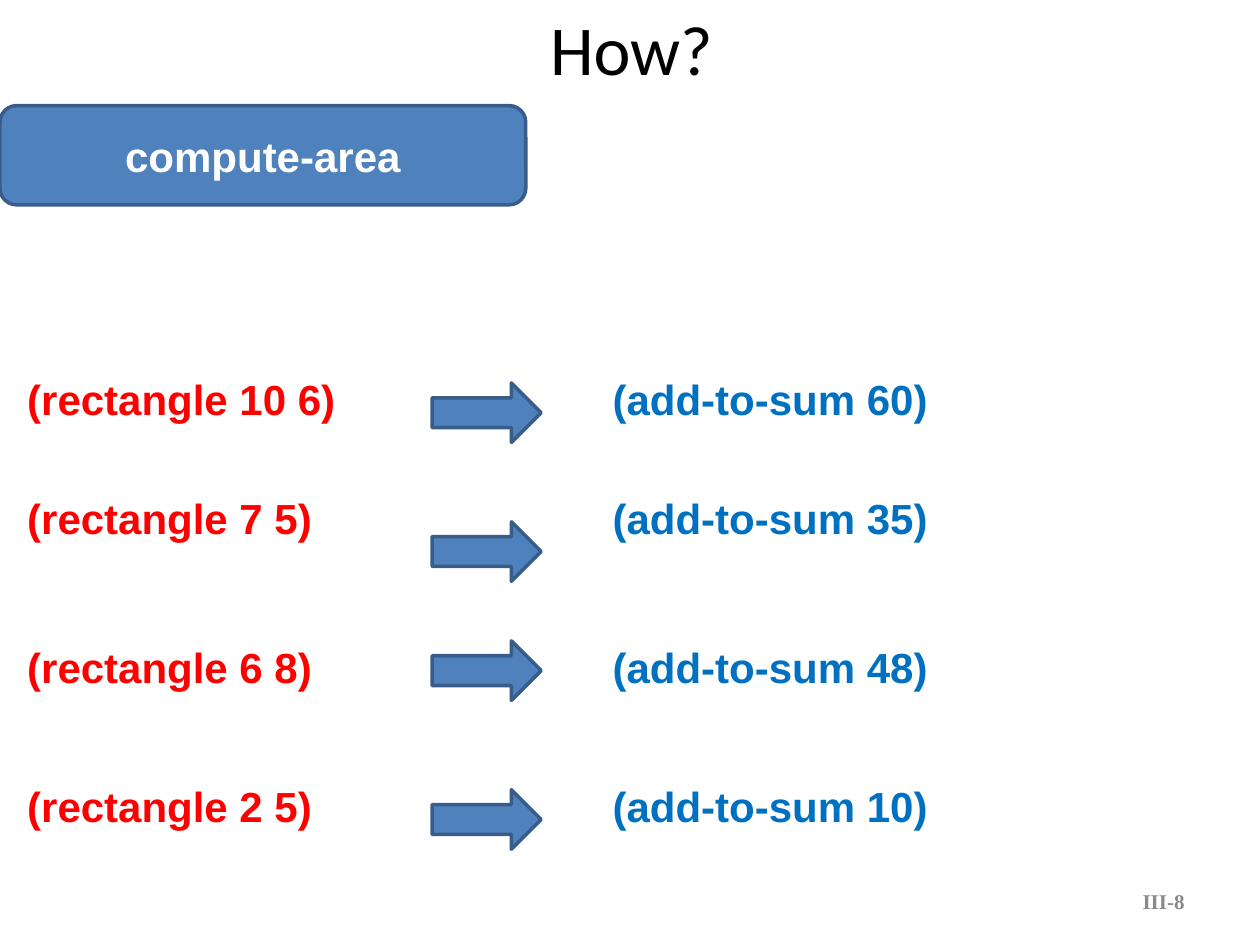
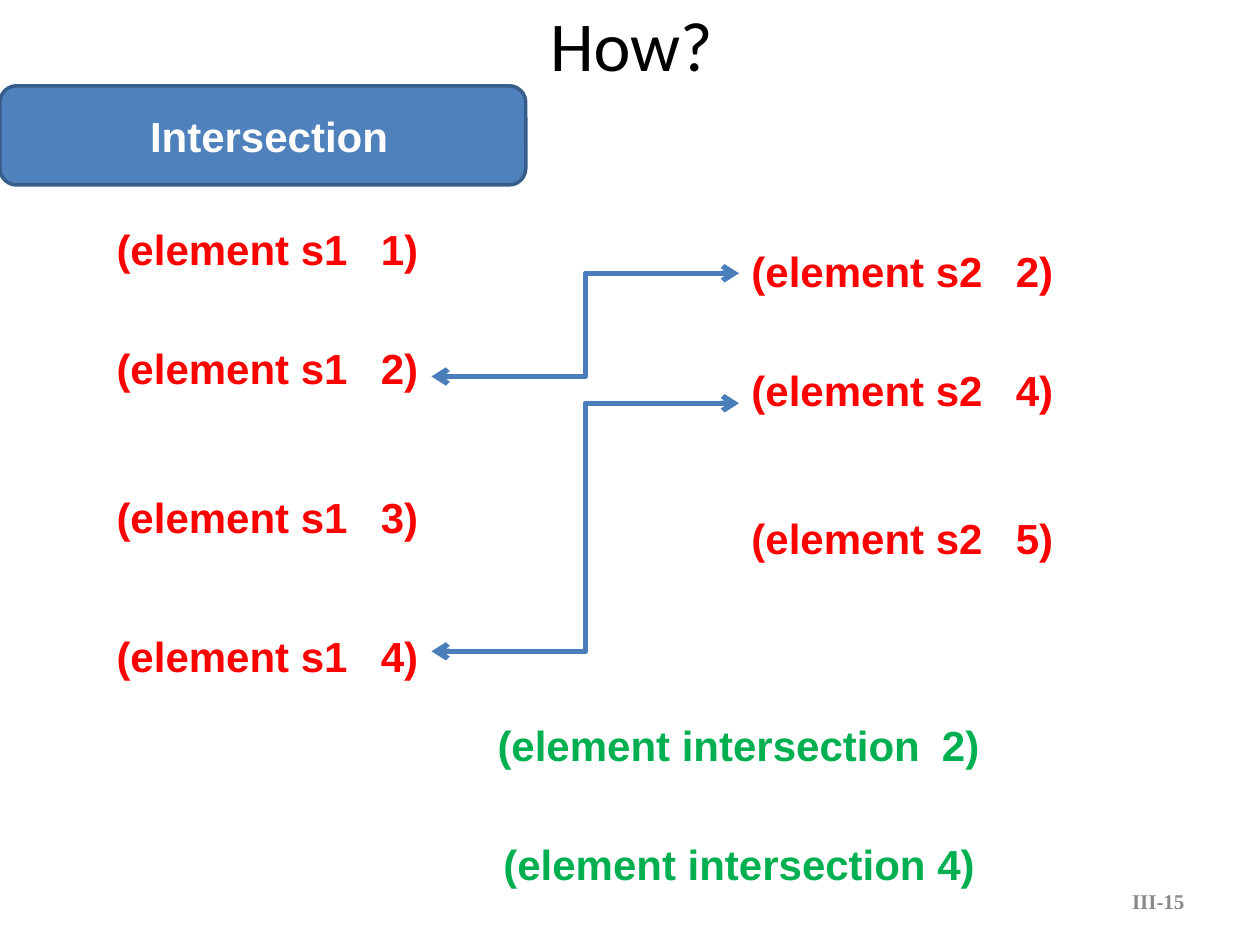
import pptx
import pptx.dml.color
import pptx.enum.shapes
import pptx.enum.text
import pptx.oxml.ns
import pptx.oxml.xmlchemy
import pptx.util

Cm, Pt = pptx.util.Cm, pptx.util.Pt
SHAPE = pptx.enum.shapes.MSO_SHAPE
ALIGN = pptx.enum.text.PP_ALIGN

COLORS = {
    "title": "000000", "footer": "898989", "white": "FFFFFF",
    "fill": "4F81BD", "outline": "385D8A", "link": "4A7EBB",
    "input": "FF0000", "output": "0070C0", "result": "00B050",
}
ROW_STEPS = (0, 2.4, 5.4, 8.2)  # cm below the first row of a fact column
FACT_HEIGHT = 1.8


def rgb(name):
    return pptx.dml.color.RGBColor.from_string(COLORS[name])


def add_element(parent, tag, **attributes):
    """Append a new XML element to parent and return it."""
    element = pptx.oxml.xmlchemy.OxmlElement(tag)
    for key, value in attributes.items():
        element.set(key, str(value))
    parent.append(element)
    return element


def write(shape, text, size=24, font="Arial", color="white", bold=True,
          align=ALIGN.LEFT, inset=0.25, tab=None):
    """Fill a shape with one formatted line; tab is a stop in cm."""
    tf = shape.text_frame
    tf.word_wrap = True
    tf.vertical_anchor = pptx.enum.text.MSO_ANCHOR.MIDDLE
    tf.margin_left = Cm(inset)
    p = tf.paragraphs[0]
    p.alignment = align
    if tab:
        tabs = add_element(p._p.get_or_add_pPr(), "a:tabLst")
        add_element(tabs, "a:tab", pos=int(Cm(tab)), algn="l")
    r = p.add_run()
    r.text = text
    r.font.size = Pt(size)
    r.font.name = font
    r.font.bold = bold
    r.font.color.rgb = rgb(color)


class Deck:
    def __init__(self):
        self.prs = pptx.Presentation()
        self.prs.slide_width, self.prs.slide_height = Cm(25.4), Cm(19.05)
        self.s = None

    def slide(self, title, title_height, banner, banner_top, number,
              banner_inset=0.25):
        """Start a slide with its title, banner and page number."""
        self.s = self.prs.slides.add_slide(self.prs.slide_layouts[5])
        sp = self.s.shapes.title
        sp.left, sp.top = Cm(1.3), Cm(0)
        sp.width, sp.height = Cm(22.86), Cm(title_height)
        write(sp, title, size=40, font="Calibri", color="title", bold=False,
              align=ALIGN.CENTER)
        self.text(number, 18.21, 17.65, 5.92, 1.02, size=12,
                  font="Times New Roman", color="footer", align=ALIGN.RIGHT)
        sp = self.shape(SHAPE.ROUNDED_RECTANGLE, 0, banner_top, 10.6, 2)
        write(sp, banner, align=ALIGN.CENTER, inset=banner_inset)

    def text(self, text, x, y, w, h, **fmt):
        sp = self.s.shapes.add_textbox(Cm(x), Cm(y), Cm(w), Cm(h))
        write(sp, text, **fmt)

    def facts(self, lines, x, y, w=7.8, **fmt):
        """Place lines on the shared row rhythm."""
        for line, step in zip(lines, ROW_STEPS):
            self.text(line, x, y + step, w, FACT_HEIGHT, **fmt)

    def shape(self, kind, x, y, w, h):
        sp = self.s.shapes.add_shape(kind, Cm(x), Cm(y), Cm(w), Cm(h))
        sp.shadow.inherit = False
        sp.fill.solid()
        sp.fill.fore_color.rgb = rgb("fill")
        sp.line.color.rgb = rgb("outline")
        sp.line.width = Pt(2)
        return sp

    def match(self, x1, y1, x2, y2):
        """Draw an elbow connector with an arrowhead at each end."""
        cxn = self.s.shapes.add_connector(
            pptx.enum.shapes.MSO_CONNECTOR.ELBOW, Cm(x1), Cm(y1), Cm(x2), Cm(y2))
        cxn.line.color.rgb = rgb("link")
        cxn.line.width = Pt(3)
        sp_pr = cxn._element.find(pptx.oxml.ns.qn("p:spPr"))
        ln = sp_pr.find(pptx.oxml.ns.qn("a:ln"))
        for end in ("a:headEnd", "a:tailEnd"):
            add_element(ln, end, type="arrow")
        add_element(sp_pr, "a:effectLst")


def main():
    deck = Deck()

    # Areas computed from rectangles
    deck.slide("How?", 1.93, "compute-area", 2.13, "III-8")
    sizes = ((10, 6), (7, 5), (6, 8), (2, 5))
    deck.facts([f"(rectangle {a} {b})" for a, b in sizes], 0.3, 7.14,
               color="input")
    deck.facts([f"(add-to-sum {a * b})" for a, b in sizes], 12.1, 7.14,
               color="output")
    for y in (7.72, 10.52, 12.92, 15.92):
        deck.shape(SHAPE.RIGHT_ARROW, 8.71, y, 2.2, 1.2)

    # Intersection of two sets
    deck.slide("How?", 1.75, "Intersection", 1.73, "III-15", banner_inset=0.5)
    for name, members, x, y in (("s1", (1, 2, 3, 4), 1.5, 4.11),
                                ("s2", (2, 4, 5), 14.3, 4.55)):
        deck.facts([f"(element {name}\t{m})" for m in members], x, y,
                   color="input", inset=0.85, tab=5.33)
    deck.facts(["(element intersection\t2)"], 9.1, 14.12, w=11.6,
               color="result", inset=0.93, tab=8.96)
    deck.text("(element intersection 4)", 9.1, 16.52, 11.6, FACT_HEIGHT,
              color="result", align=ALIGN.CENTER)
    for y1, y2 in ((5.51, 7.59), (8.13, 13.13)):
        deck.match(14.9, y1, 8.7, y2)

    deck.prs.save("out.pptx")


if __name__ == "__main__":
    main()
